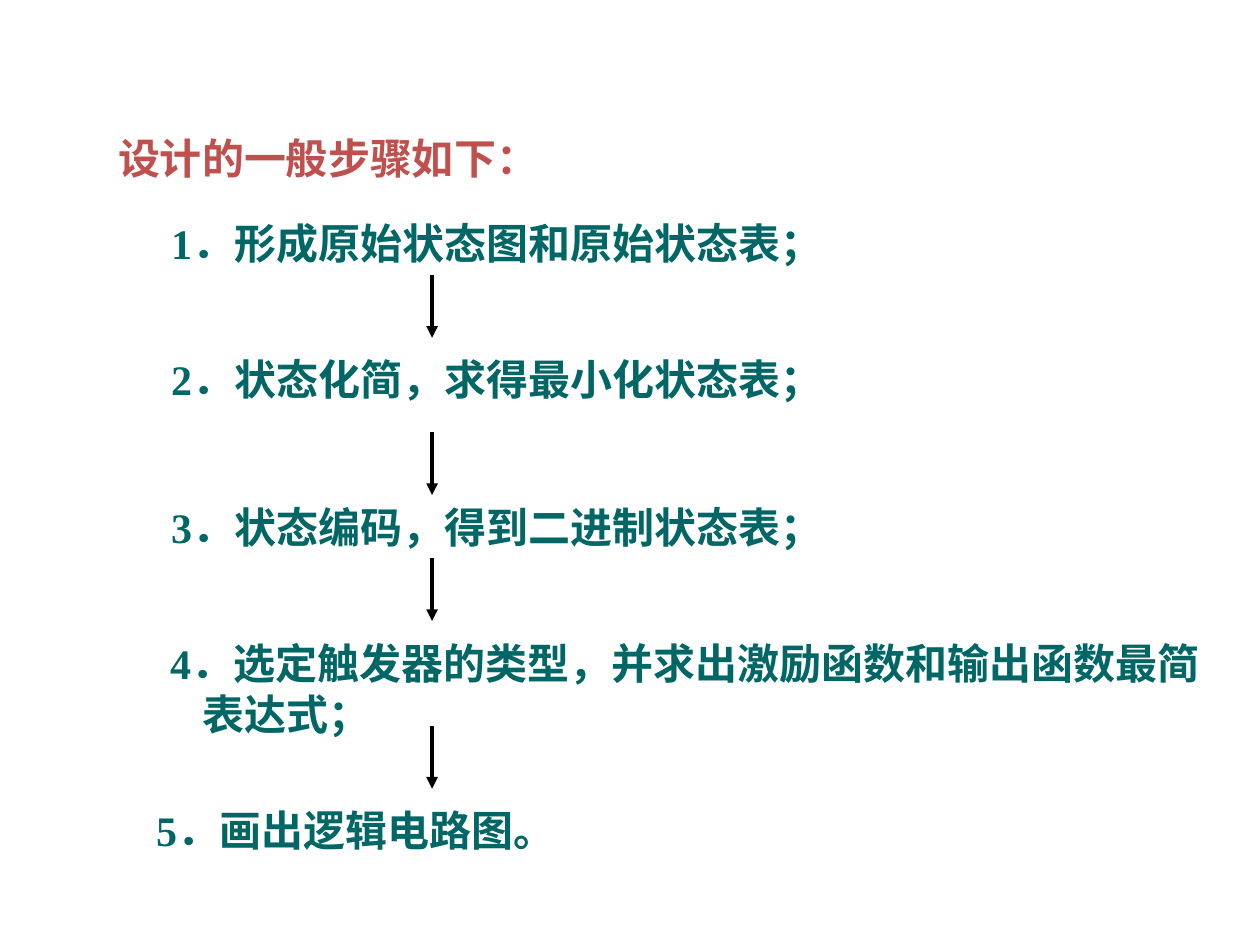
from typing import NamedTuple

from lxml.etree import SubElement
from pptx import Presentation
from pptx.dml.color import RGBColor
from pptx.enum.shapes import MSO_CONNECTOR as Connector
from pptx.enum.text import MSO_ANCHOR as Anchor, PP_ALIGN as Align
from pptx.oxml.ns import qn
from pptx.slide import Slide
from pptx.util import Cm, Pt

RED = RGBColor(0xC0, 0x50, 0x4D)
TEAL = RGBColor(0x00, 0x66, 0x66)
BLACK = RGBColor(0x00, 0x00, 0x00)

ARROW_X = 8.71
ARROW_LENGTH = 1.27
ARROW_TOPS = (5.54, 8.71, 11.25, 14.63)


class TextLine(NamedTuple):
    text: str
    left: float
    top: float
    width: float
    height: float = 1.27
    color: RGBColor = TEAL
    align: Align = Align.LEFT
    margin: float = 0
    indent: float = 0


LINES = (
    TextLine("设计的一般步骤如下：", 2.13, 2.54, 9.5, color=RED),
    TextLine("1．形成原始状态图和原始状态表；", 1.32, 4.27, 19.48,
             align=Align.JUSTIFY, margin=1.88),
    TextLine("2．状态化简，求得最小化状态表；", 1.32, 7.01, 19.05,
             align=Align.JUSTIFY, margin=1.88),
    TextLine("3．状态编码，得到二进制状态表；", 1.32, 9.98, 16.33,
             align=Align.JUSTIFY, margin=1.88),
    TextLine("4．选定触发器的类型，并求出激励函数和输出函数最简\v表达式；",
             1.3, 12.73, 23.75, height=2.29, margin=2.54, indent=-0.66),
    TextLine("5．画出逻辑电路图。", 2.9, 16.1, 9.5),
)


def add_line(page: Slide, line: TextLine) -> None:
    box = page.shapes.add_textbox(
        Cm(line.left), Cm(line.top), Cm(line.width), Cm(line.height))
    frame = box.text_frame
    frame.word_wrap = True
    frame.vertical_anchor = Anchor.TOP
    para = frame.paragraphs[0]
    para.text = line.text
    para.alignment = line.align
    properties = para._p.get_or_add_pPr()
    properties.set("marL", str(Cm(line.margin)))
    properties.set("indent", str(Cm(line.indent)))
    para.font.name = "Times New Roman"
    para.font.size = Pt(24)
    para.font.bold = True
    para.font.color.rgb = line.color


def add_arrow(page: Slide, top: float) -> None:
    arrow = page.shapes.add_connector(
        Connector.STRAIGHT, Cm(ARROW_X), Cm(top),
        Cm(ARROW_X), Cm(top + ARROW_LENGTH))
    arrow.line.color.rgb = BLACK
    arrow.line.width = Pt(2.25)
    SubElement(arrow.line._get_or_add_ln(), qn("a:tailEnd"), type="triangle")
    SubElement(arrow._element.spPr, qn("a:effectLst"))


def main() -> None:
    deck = Presentation()
    deck.slide_width = Cm(25.4)
    deck.slide_height = Cm(19.05)
    page = deck.slides.add_slide(deck.slide_layouts[6])
    for line in LINES:
        add_line(page, line)
    for top in ARROW_TOPS:
        add_arrow(page, top)
    deck.save("out.pptx")


if __name__ == "__main__":
    main()
